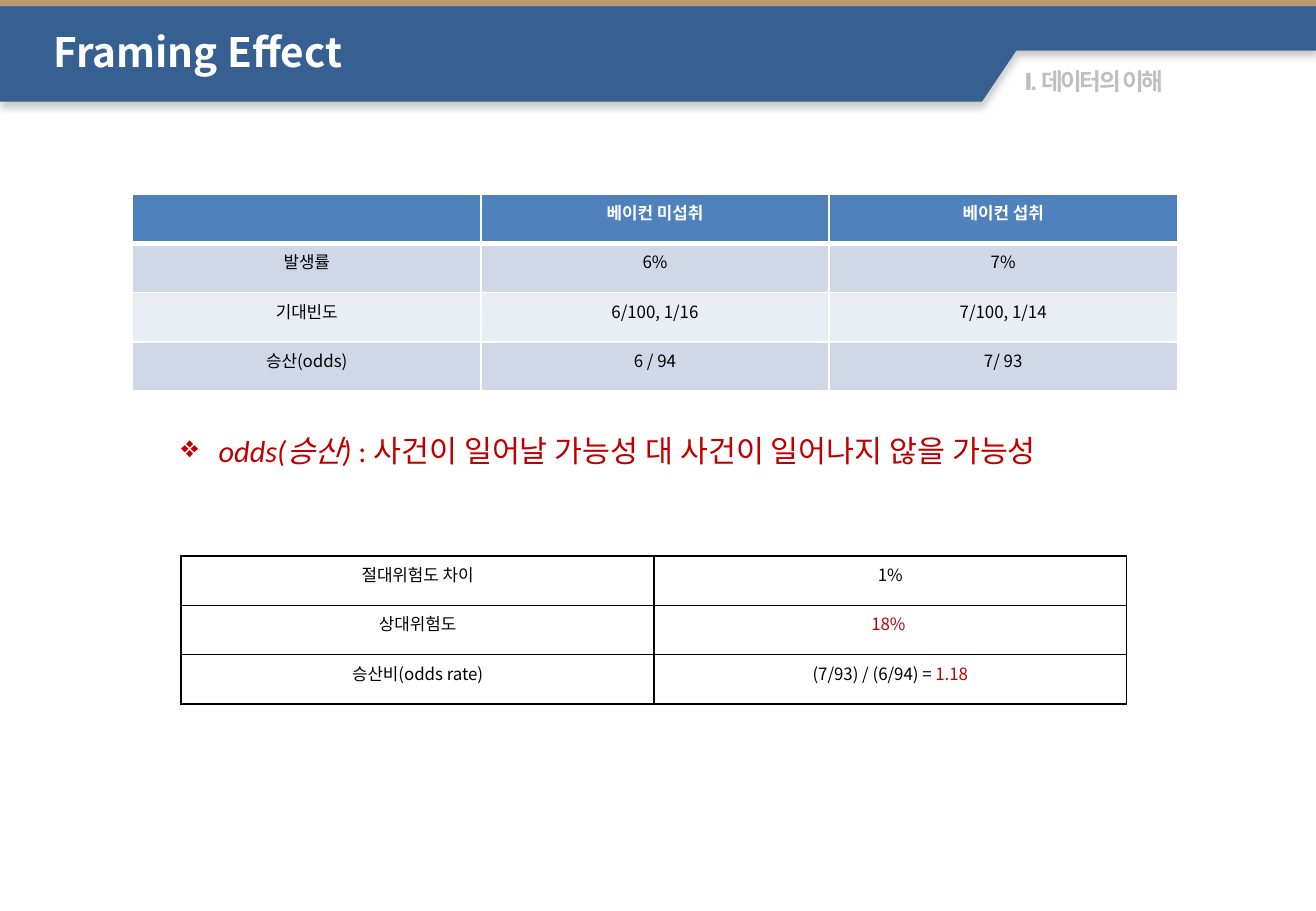
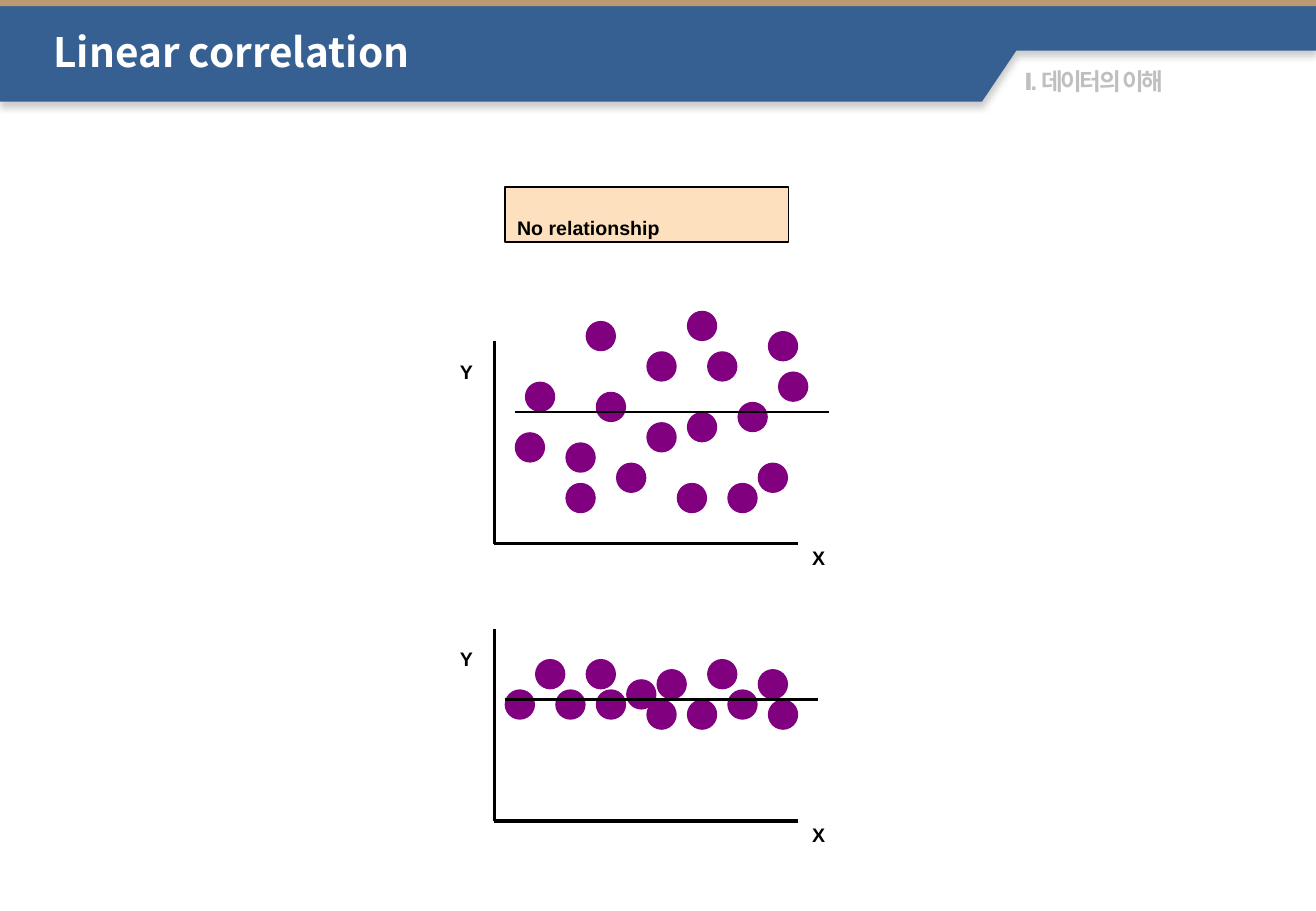
"""Two statistics slides: framing effect and linear correlation."""
from pptx import Presentation
from pptx import util as u
from pptx.dml.color import RGBColor
from pptx.enum import shapes, text
from pptx.oxml import parse_xml
from pptx.oxml.ns import nsdecls, qn

COLORS = {
    "band": "376092", "strip": "BB9A71", "section": "BFBFBF", "white": "FFFFFF",
    "black": "000000", "red": "C00000", "head": "4F81BD", "odd": "D0D8E8",
    "even": "E9EDF4", "label": "FDE0BD", "dot": "800080", "shadow": "808080",
}
COLS, ROWS = 130, 90
CELL = u.Inches(1 / 12)
SANS = "Noto Sans CJK KR"
AXIS = dict(size=20, font="Arial", bold=True, baseline=-25)


def rgb(name):
    """Return a palette colour."""
    return RGBColor.from_string(COLORS[name])


def grid(*cells):
    """Turn grid cells into slide lengths."""
    return [u.Emu(round(c * CELL)) for c in cells]


def add_run(p, s, size=10, font=SANS, color="black", bold=False, italic=False,
            spacing=None, baseline=None):
    """Add a formatted run to a paragraph."""
    r = p.add_run()
    r.text = s
    f = r.font
    f.size, f.name, f.bold, f.italic = u.Pt(size), font, bold, italic
    f.color.rgb = rgb(color)
    rPr = r._r.get_or_add_rPr()
    rPr.find(qn("a:latin")).addnext(
        parse_xml(f'<a:ea {nsdecls("a")} typeface="{font}"/>'))
    if spacing is not None:
        rPr.set("spc", str(round(spacing * 100)))
    if baseline is not None:
        rPr.set("baseline", str(baseline * 1000))


class Deck:
    """Holds the presentation, its style and the current slide."""

    def __init__(self):
        """Start an empty deck on the grid."""
        self.prs = Presentation()
        self.prs.slide_width, self.prs.slide_height = grid(COLS, ROWS)
        self.slide = None

    def new_slide(self, title):
        """Add a slide with the band, section name and title."""
        self.slide = self.prs.slides.add_slide(self.prs.slide_layouts[6])
        self.band()
        self.shape(0, 0, COLS, 0.6, "strip")
        self.textbox(100, 6, 30, 4.1, [("Ⅰ. 데이터의 이해", dict(
            size=14, font="Arial", color="section", bold=True, spacing=-1.5))])
        p = self.textbox(4.1, 2.9, 99.7, 5.3, [(title, dict(
            size=24, color="white", bold=True))], anchor=text.MSO_ANCHOR.MIDDLE)
        p.line_spacing = 0.8

    def band(self):
        """Draw the notched title band with its shadow."""
        pts = [grid(*pt) for pt in [(0, 0), (COLS, 0), (COLS, 5), (100.4, 5),
                                    (97, 10.05), (0, 10.05)]]
        fb = self.slide.shapes.build_freeform(*pts[0])
        fb.add_line_segments(pts[1:])
        sp = self.paint(fb.convert_to_shape(), "band")
        effects = sp._element.spPr.find(qn("a:effectLst"))
        effects.append(parse_xml(
            f'<a:outerShdw {nsdecls("a")} blurRad="{u.Pt(4)}" dist="{u.Pt(3)}" '
            f'dir="5400000" algn="t" rotWithShape="0">'
            f'<a:srgbClr val="{COLORS["shadow"]}"><a:alpha val="40000"/>'
            f'</a:srgbClr></a:outerShdw>'))

    def paint(self, sp, fill, line=None):
        """Give a shape a flat fill and an optional outline."""
        sp.shadow.inherit = False
        sp.fill.solid()
        sp.fill.fore_color.rgb = rgb(fill)
        if line:
            sp.line.color.rgb = rgb(line)
            sp.line.width = u.Pt(1)
        else:
            sp.line.fill.background()
        return sp

    def shape(self, x, y, w, h, fill, line=None, kind=shapes.MSO_SHAPE.RECTANGLE):
        """Add a preset shape."""
        sp = self.slide.shapes.add_shape(kind, *grid(x, y, w, h))
        return self.paint(sp, fill, line)

    def put_runs(self, sp, runs, wrap=True, anchor=text.MSO_ANCHOR.TOP,
                 align=text.PP_ALIGN.LEFT):
        """Fill the first paragraph of a shape or cell and return it."""
        tf = sp.text_frame
        tf.word_wrap, tf.vertical_anchor = wrap, anchor
        p = tf.paragraphs[0]
        p.alignment = align
        for s, fmt in runs:
            add_run(p, s, **fmt)
        return p

    def textbox(self, x, y, w, h, runs, **layout):
        """Add a text box and return its paragraph."""
        sp = self.slide.shapes.add_textbox(*grid(x, y, w, h))
        return self.put_runs(sp, runs, **layout)

    def bullet(self, x, y, w, h, runs, mark):
        """Add a one-line bulleted text box."""
        p = self.textbox(x, y, w, h, [])
        pPr = p._p.get_or_add_pPr()
        indent = u.Inches(0.31)
        pPr.set("marL", str(indent))
        pPr.set("indent", str(-indent))
        pPr.append(parse_xml(f'<a:buChar {nsdecls("a")} char="{mark}"/>'))
        p.line_spacing = 1.5
        for s, fmt in runs:
            add_run(p, s, **fmt)

    def line(self, x1, y1, x2, y2, width):
        """Add a straight black line."""
        ln = self.slide.shapes.add_connector(
            shapes.MSO_CONNECTOR.STRAIGHT, *grid(x1, y1, x2, y2))
        ln.line.color.rgb = rgb("black")
        ln.line.width = u.Pt(width)
        ln._element.spPr.append(parse_xml(f'<a:effectLst {nsdecls("a")}/>'))

    def borders(self, cell, color, bottom=1, top=1):
        """Draw the four borders of a table cell."""
        tcPr = cell._tc.get_or_add_tcPr()
        for i, (side, width) in enumerate(zip("LRTB", (1, 1, top, bottom))):
            tcPr.insert(i, parse_xml(
                f'<a:ln{side} {nsdecls("a")} w="{u.Pt(width)}"><a:solidFill>'
                f'<a:srgbClr val="{COLORS[color]}"/></a:solidFill></a:ln{side}>'))

    def table(self, x, y, w, h, rows, border, fills=None, header=False):
        """Add a centred table; a cell is a string or a list of runs."""
        frame = self.slide.shapes.add_table(
            len(rows), len(rows[0]), *grid(x, y, w, h))
        tbl = frame.table
        tbl.first_row = tbl.horz_banding = False
        for i, row in enumerate(rows):
            head = header and i == 0
            base = dict(color="white", bold=True) if head else {}
            for j, content in enumerate(row):
                cell = tbl.cell(i, j)
                if fills:
                    cell.fill.solid()
                    cell.fill.fore_color.rgb = rgb(fills[i])
                else:
                    cell.fill.background()
                self.borders(cell, border, bottom=3 if head else 1,
                             top=3 if header and i == 1 else 1)
                runs = [(content, base)] if isinstance(content, str) else content
                self.put_runs(cell, runs, align=text.PP_ALIGN.CENTER)

    def scatter(self, x, y, height, dots, mean):
        """Draw axes, dots and a level line, counted in cells from the origin."""
        self.line(x, y - height, x, y, 2)
        self.line(x, y, x + 30, y, 2)
        for dx, dy in dots:
            self.shape(x + dx, y - dy, 3, 3, "dot", kind=shapes.MSO_SHAPE.OVAL)
        for name, dx, dy in (("Y", -4.6, height + 1), ("X", 30.2, 2.6)):
            self.textbox(x + dx, y - dy, 4.7, 5.2, [(name, AXIS)], wrap=False)
        start, level = mean
        self.line(x + start, y - level, x + start + 31, y - level, 1.5)


def framing_effect(deck):
    """Build the risk comparison slide."""
    deck.new_slide("Framing Effect")
    deck.table(13.1, 19.2, 103.2, 19.44, [
        ["", "베이컨 미섭취", "베이컨 섭취"],
        ["발생률", "6%", "7%"],
        ["기대빈도", "6/100, 1/16", "7/100, 1/14"],
        ["승산(odds)", "6 / 94", "7/ 93"],
    ], "white", ["head", "odd", "even", "odd"], header=True)
    note = dict(size=18, font="Calibri", color="red")
    deck.bullet(16.7, 40.3, 95.9, 6.1, [
        ("odds(승산) ", dict(note, italic=True)),
        (": 사건이 일어날 가능성 대 사건이 일어나지 않을 가능성", note)], "❖")
    red = dict(color="red")
    deck.table(17.9, 54.95, 93.4, 14.6, [
        ["절대위험도 차이", "1%"],
        ["상대위험도", [("18% ", red)]],
        ["승산비(odds rate)", [("(7/93) / (6/94) = ", {}), ("1.18", red)]],
    ], "black")


def linear_correlation(deck):
    """Build the slide with two uncorrelated scatter plots."""
    deck.new_slide("Linear correlation")
    sp = deck.shape(49.9, 18.5, 28, 5.4, "label", "black")
    deck.put_runs(sp, [("No relationship", AXIS)])
    deck.scatter(48.85, 53.7, 20, [
        (19, 23), (2, 11), (26, 8), (28, 17), (7, 6), (9, 22), (19, 13),
        (21, 19), (27, 21), (15, 19), (7, 10), (10, 15), (23, 6), (15, 12),
        (12, 8), (3, 16), (18, 6), (24, 14)], mean=(2, 13))
    deck.scatter(48.85, 81.1, 19, [
        (27, 12), (6, 13), (26, 15), (9, 16), (21, 16), (23, 13), (13, 14),
        (1, 13), (4, 16), (10, 13), (19, 12), (16, 15), (15, 12)], mean=(1, 12))


def main():
    """Build and save the deck."""
    deck = Deck()
    framing_effect(deck)
    linear_correlation(deck)
    deck.prs.save("out.pptx")


if __name__ == "__main__":
    main()
